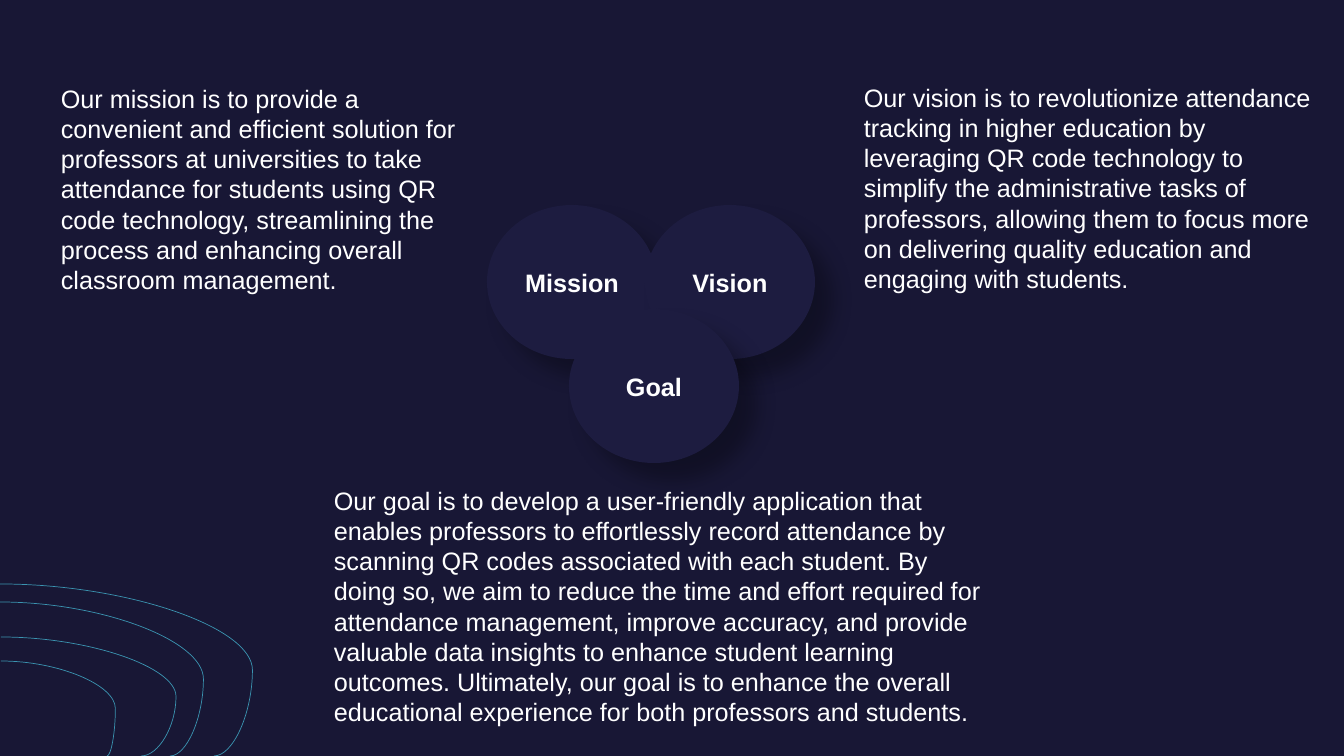
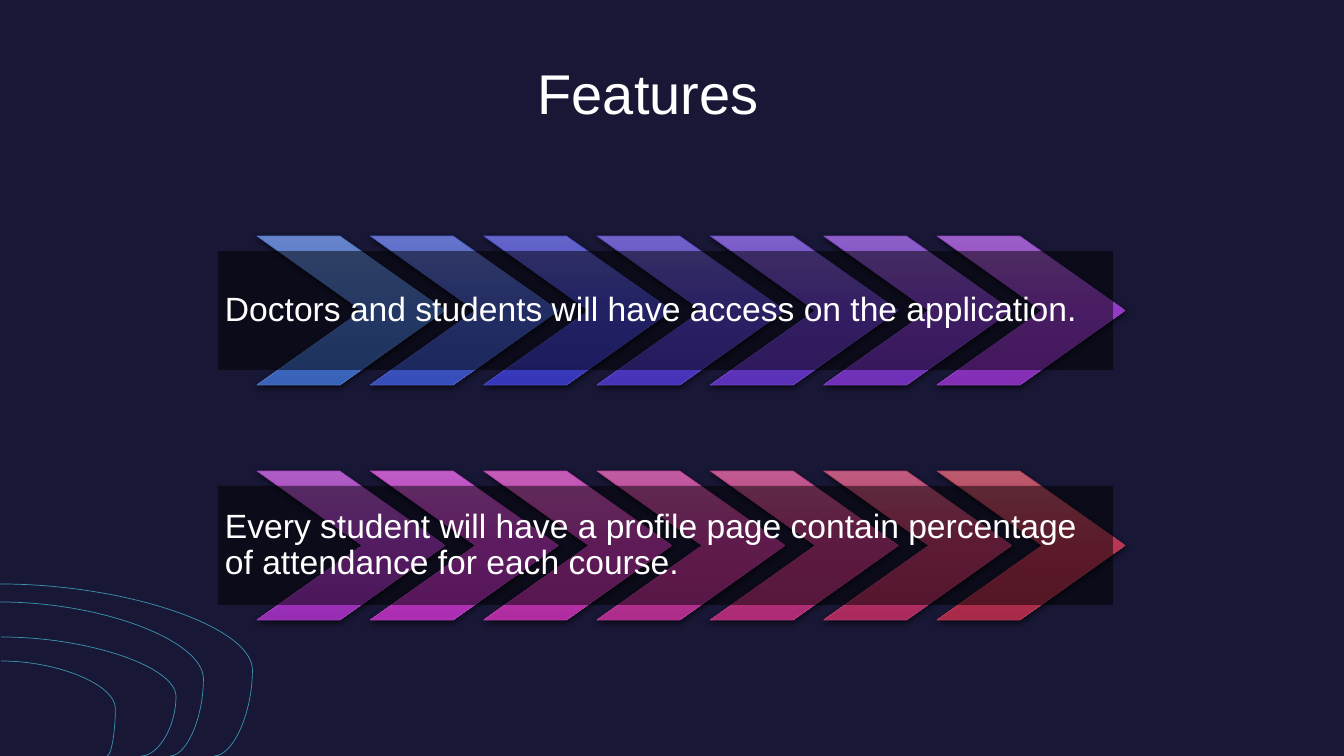
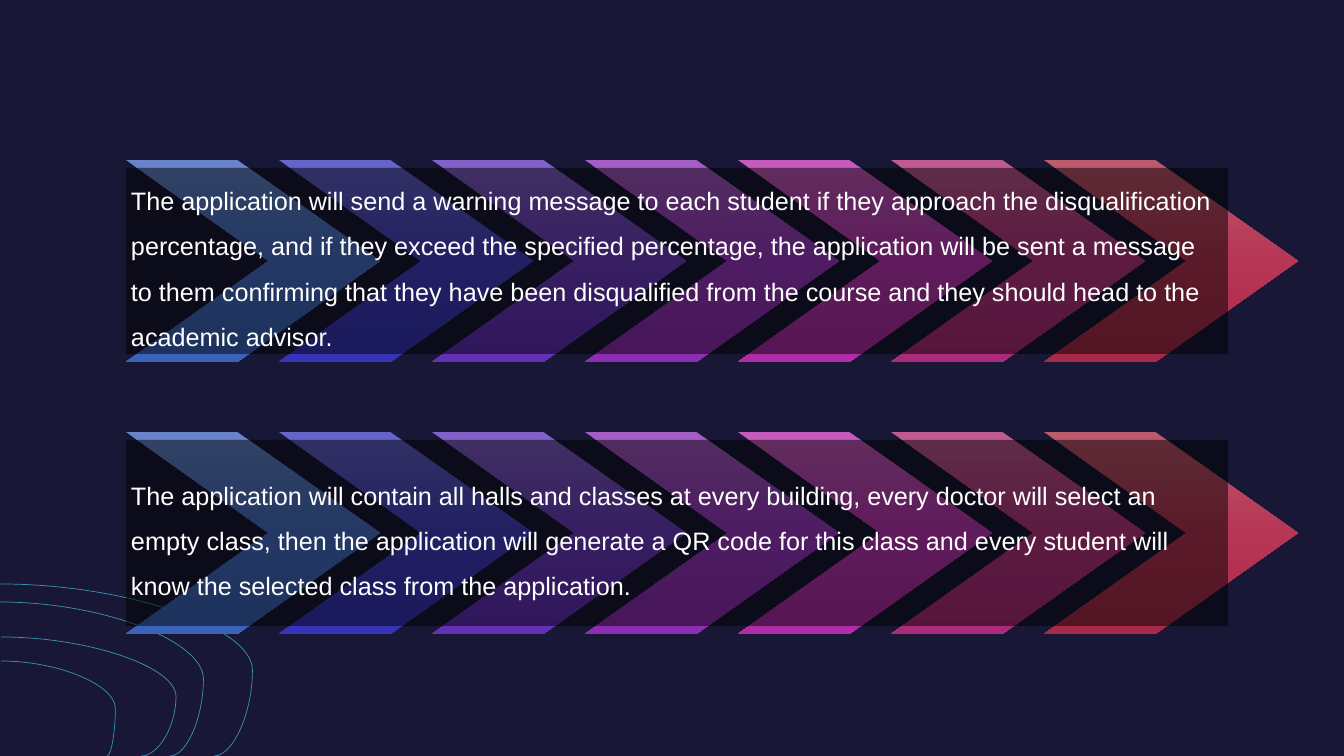
import dataclasses

import pptx
import pptx.dml.color
import pptx.enum.shapes
import pptx.enum.text
import pptx.oxml
import pptx.oxml.ns
import pptx.util

Shape = pptx.enum.shapes.MSO_SHAPE
Anchor = pptx.enum.text.MSO_ANCHOR
Align = pptx.enum.text.PP_ALIGN
AutoSize = pptx.enum.text.MSO_AUTO_SIZE
Pt = pptx.util.Pt
qn = pptx.oxml.ns.qn

PIXEL = pptx.util.Inches(1) / 100.8
TITLE_LAYOUT, BLANK_LAYOUT = 5, 6


@dataclasses.dataclass(frozen=True)
class Shadow:
    """An outer shadow: opacity in percent, blur and distance in points, angle in degrees."""
    opacity: int
    blur: float
    distance: float
    angle: int


@dataclasses.dataclass(frozen=True)
class Theme:
    """Colours, type sizes and effects shared by all slides."""
    font: str = "Arial"
    background: str = "181735"
    text: str = "FFFFFF"
    curve: str = "3B94B1"
    circle: str = "1D1C40"
    panel: str = "000000"
    panel_opacity: int = 50
    hairline: float = 0.5
    title_size: int = 40
    feature_size: int = 24
    body_size: int = 18
    circle_shadow: Shadow = Shadow(30, 15, 18, 45)
    chevron_shadow: Shadow = Shadow(63, 4.5, 1.5, 90)


# Each chevron: top, middle and bottom of the gradient, then an optional outline.
BLUE_TO_VIOLET = [
    "6784CA 4772C9 3963B9 4D74C3", "6574CA 455BC8 374DB9 4B5FC2",
    "6465C9 4344C8 3536B8 494AC2", "6F63C8 5541C7 4733B8 5947C1",
    "7D61C8 693EC7 5A31B7 6B45C0", "8C60C7 7D3CC6 6F2FB7 7D42C0",
    "9C5FC7 923AC5 832EB5 9040BF",
]
VIOLET_TO_RED = [
    "AE5DC6 A739C4 972DB3 A33FBD", "C05CC5 BB38C1 AB2DB1 B53FBB",
    "C35CB6 BF38B0 AF2CA1 B93EAB", "C15BA2 BD3799 AE2C8A B73D96",
    "C05B8F BB3682 AC2B74 B53C81", "BE5B7E B9366B AA2A5E B33C6C",
    "BC5A6E B73555 A82A49 B13B58",
]
BLUE_TO_RED = [
    "6784CA 4772C9 3963B9", "6564C9 4542C8 3634B8", "8261C8 6F3EC6 6130B7",
    "A55EC6 9C39C5 8D2DB4", "C45CBD C038B8 B02CA8", "C05B92 BB3785 AC2B78",
    "BC5A6E B73555 A82A49",
]

# Corner curves: left, top, right, bottom, bend, half turn.
CORNER_CURVES = [
    (0, 602, 170, 756, 1.197, False),
    (0, 584, 214, 756, 1.18, False),
    (1, 637, 141, 756, -0.25, True),
    (1, 661, 107, 756, -0.079, True),
]


def pixels(*lengths):
    """Turn pixel lengths into EMU."""
    return [pptx.util.Emu(round(length * PIXEL)) for length in lengths]


def colour(code):
    """Return the colour for an RRGGBB code."""
    return pptx.dml.color.RGBColor.from_string(code)


def xml(tag, content="", **attributes):
    """Build a DrawingML element."""
    listed = "".join(f' {name}="{value}"' for name, value in attributes.items())
    namespace = pptx.oxml.ns.nsdecls("a")
    return pptx.oxml.parse_xml(f"<a:{tag} {namespace}{listed}>{content}</a:{tag}>")


def colour_xml(code, opacity=100):
    """Return the markup of a colour with an opacity in percent."""
    return f'<a:srgbClr val="{code}"><a:alpha val="{opacity * 1000}"/></a:srgbClr>'


def write_text(frame, text, *, theme, size, bold=False, align=Align.LEFT, anchor=Anchor.TOP,
               inset=None, spacing=None, after=None, grow=False):
    """Fill a text frame with one formatted paragraph."""
    frame.word_wrap = True
    frame.auto_size = AutoSize.SHAPE_TO_FIT_TEXT if grow else AutoSize.NONE
    frame.vertical_anchor = anchor
    if inset is not None:
        frame.margin_left, frame.margin_top, frame.margin_right, frame.margin_bottom = (
            pixels(inset) * 4)
    para = frame.paragraphs[0]
    para.alignment = align
    if spacing is not None:
        para.line_spacing = spacing
    if after is not None:
        para.space_after = Pt(size * after)
    span = para.add_run()
    span.text = text
    span.font.name = theme.font
    span.font.size = Pt(size)
    span.font.bold = bold
    span.font.color.rgb = colour(theme.text)


class Builder:
    """Holds the deck, its theme and the current slide."""

    def __init__(self, theme):
        """Start a widescreen deck with the shared background."""
        self.theme = theme
        self.deck = pptx.Presentation()
        self.deck.slide_width, self.deck.slide_height = pixels(1344, 756)
        fill = self.deck.slide_master.background.fill
        fill.solid()
        fill.fore_color.rgb = colour(theme.background)
        self.page = None

    def add_page(self, layout=BLANK_LAYOUT):
        """Add a slide with the corner curves."""
        self.page = self.deck.slides.add_slide(self.deck.slide_layouts[layout])
        for curve in CORNER_CURVES:
            self.curve(*curve)

    def curve(self, left, top, right, bottom, bend, half_turn):
        """Draw a thin curved connector."""
        line = self.page.shapes.add_connector(
            pptx.enum.shapes.MSO_CONNECTOR.CURVE, *pixels(left, top, right, bottom))
        line.line.color.rgb = colour(self.theme.curve)
        line.line.width = Pt(self.theme.hairline)
        properties = line._element.spPr
        properties.append(xml("effectLst"))
        guides = properties.find(qn("a:prstGeom")).get_or_add_avLst()
        guides.append(xml("gd", name="adj1", fmla=f"val {round(bend * 100000)}"))
        if half_turn:
            properties.find(qn("a:xfrm")).set("rot", str(180 * 60000))

    def title(self, text, *place):
        """Place and fill the title placeholder."""
        box = self.page.shapes.title
        box.left, box.top, box.width, box.height = pixels(*place)
        write_text(box.text_frame, text, theme=self.theme, size=self.theme.title_size,
                   align=Align.CENTER, grow=True)

    def text(self, text, *place, **style):
        """Add a text box."""
        box = self.page.shapes.add_textbox(*pixels(*place))
        write_text(box.text_frame, text, theme=self.theme, **style)

    def shape(self, kind, place, fill, outline=None, shadow=None):
        """Add a preset shape with a plain fill."""
        box = self.page.shapes.add_shape(kind, *pixels(*place))
        box.fill.solid()
        box.fill.fore_color.rgb = colour(fill)
        if outline:
            box.line.color.rgb = colour(outline)
            box.line.width = Pt(self.theme.hairline)
        else:
            box.line.fill.background()
        box.shadow.inherit = False
        if shadow:
            box._element.spPr.find(qn("a:effectLst")).append(xml(
                "outerShdw", colour_xml("000000", shadow.opacity),
                blurRad=Pt(shadow.blur), dist=Pt(shadow.distance),
                dir=shadow.angle * 60000, algn="ctr", rotWithShape=0))
        return box

    def circle(self, label, left, top):
        """Add a labelled oval with a soft shadow."""
        box = self.shape(Shape.OVAL, (left, top, 170, 154), self.theme.circle,
                         shadow=self.theme.circle_shadow)
        write_text(box.text_frame, label, theme=self.theme, size=self.theme.body_size,
                   bold=True, align=Align.CENTER, anchor=Anchor.MIDDLE)

    def chevron(self, place, top, middle, bottom, outline=None):
        """Add a chevron with a vertical gradient; an outlined one casts a shadow."""
        shadow = self.theme.chevron_shadow if outline else None
        box = self.shape(Shape.CHEVRON, place, middle, outline, shadow)
        box.adjustments[0] = 0.706
        stops = "".join(f'<a:gs pos="{position}">{colour_xml(code)}</a:gs>'
                        for position, code in ((0, top), (50000, middle), (100000, bottom)))
        gradient = xml("gradFill", f'<a:gsLst>{stops}</a:gsLst><a:lin ang="5400000" scaled="0"/>',
                       rotWithShape=1)
        properties = box._element.spPr
        properties.replace(properties.find(qn("a:solidFill")), gradient)

    def panel(self, place):
        """Add a see-through dark rectangle."""
        box = self.shape(Shape.RECTANGLE, place, self.theme.panel)
        box._element.spPr.find(qn("a:solidFill"))[0].append(
            xml("alpha", val=self.theme.panel_opacity * 1000))

    def chevron_band(self, text, palette, *, first, last, top, width, height, panel, **style):
        """Draw evenly spaced chevrons under a panel with text."""
        step = (last - first) / (len(palette) - 1)
        for index, shades in enumerate(palette):
            self.chevron((first + index * step, top, width, height), *shades.split())
        self.panel(panel)
        self.text(text, *panel, anchor=Anchor.MIDDLE, after=0.35, **style)


def build_purpose(builder):
    """Mission, vision and goal."""
    builder.add_page()
    style = {"size": builder.theme.body_size, "grow": True}
    builder.text(
        "Our mission is to provide a convenient and efficient solution for professors at "
        "universities to take attendance for students using QR code technology, streamlining "
        "the process and enhancing overall classroom management.", 51, 78, 437, 224, **style)
    builder.text(
        "Our vision is to revolutionize attendance tracking in higher education by leveraging "
        "QR code technology to simplify the administrative tasks of professors, allowing them "
        "to focus more on delivering quality education and engaging with students.",
        854, 77, 472, 224, **style)
    builder.text(
        "Our goal is to develop a user-friendly application that enables professors to "
        "effortlessly record attendance by scanning QR codes associated with each student. By "
        "doing so, we aim to reduce the time and effort required for attendance management, "
        "improve accuracy, and provide valuable data insights to enhance student learning "
        "outcomes. Ultimately, our goal is to enhance the overall educational experience for "
        "both professors and students.", 324, 480, 682, 254, **style)
    builder.circle("Mission", 487, 205)
    builder.circle("Vision", 645, 205)
    builder.circle("Goal", 569, 309)


def build_features(builder):
    """The first two features, under the title."""
    builder.add_page(TITLE_LAYOUT)
    builder.title("Features", 312, 53, 672, 78)
    bands = [
        (236, BLUE_TO_VIOLET, "Doctors and students will have access on the application. "),
        (471, VIOLET_TO_RED, "Every student will have a profile page contain percentage of "
                             "attendance for each course."),
    ]
    for top, palette, text in bands:
        builder.chevron_band(
            text, palette, first=257, last=937, top=top, width=188, height=149,
            panel=(218, top + 15, 895, 119), size=builder.theme.feature_size,
            inset=7, spacing=0.9)


def build_more_features(builder):
    """Two further features with longer text."""
    builder.add_page()
    bands = [
        (160, "The application will send a warning message to each student if they approach the "
              "disqualification percentage, and if they exceed the specified percentage, the "
              "application will be sent a message to them confirming that they have been "
              "disqualified from the course and they should head to the academic advisor. "),
        (432, "The application will contain all halls and classes at every building, every "
              "doctor will select an empty class, then the application will generate a QR code "
              "for this class and every student will know the selected class from the "
              "application."),
    ]
    for top, text in bands:
        builder.chevron_band(
            text, BLUE_TO_RED, first=126, last=1044, top=top, width=254, height=202,
            panel=(126, top + 8, 1102, 186), size=builder.theme.body_size,
            inset=5, spacing=1.5)


def main():
    """Build and save the deck."""
    builder = Builder(Theme())
    build_purpose(builder)
    build_features(builder)
    build_more_features(builder)
    builder.deck.save("out.pptx")


main()
